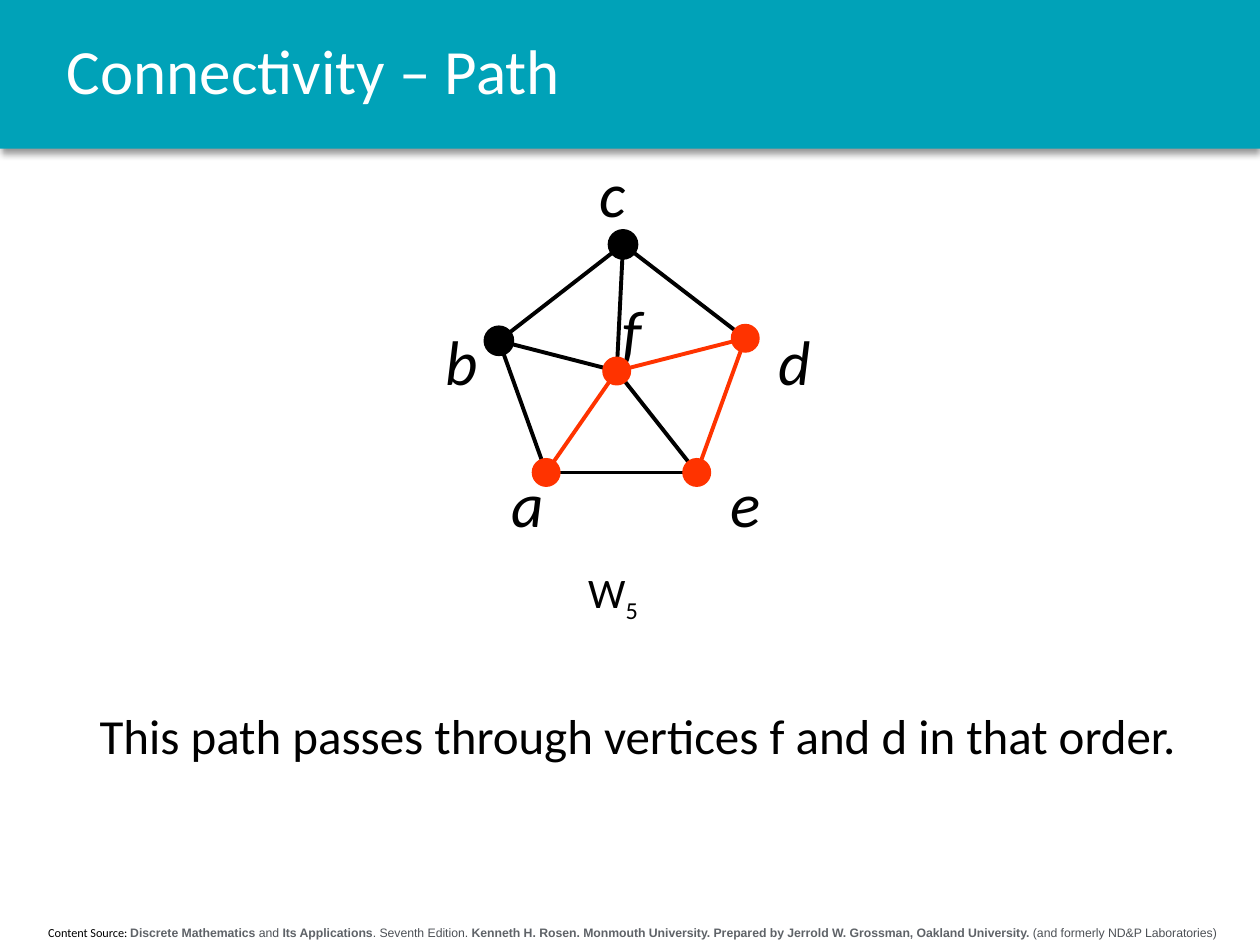
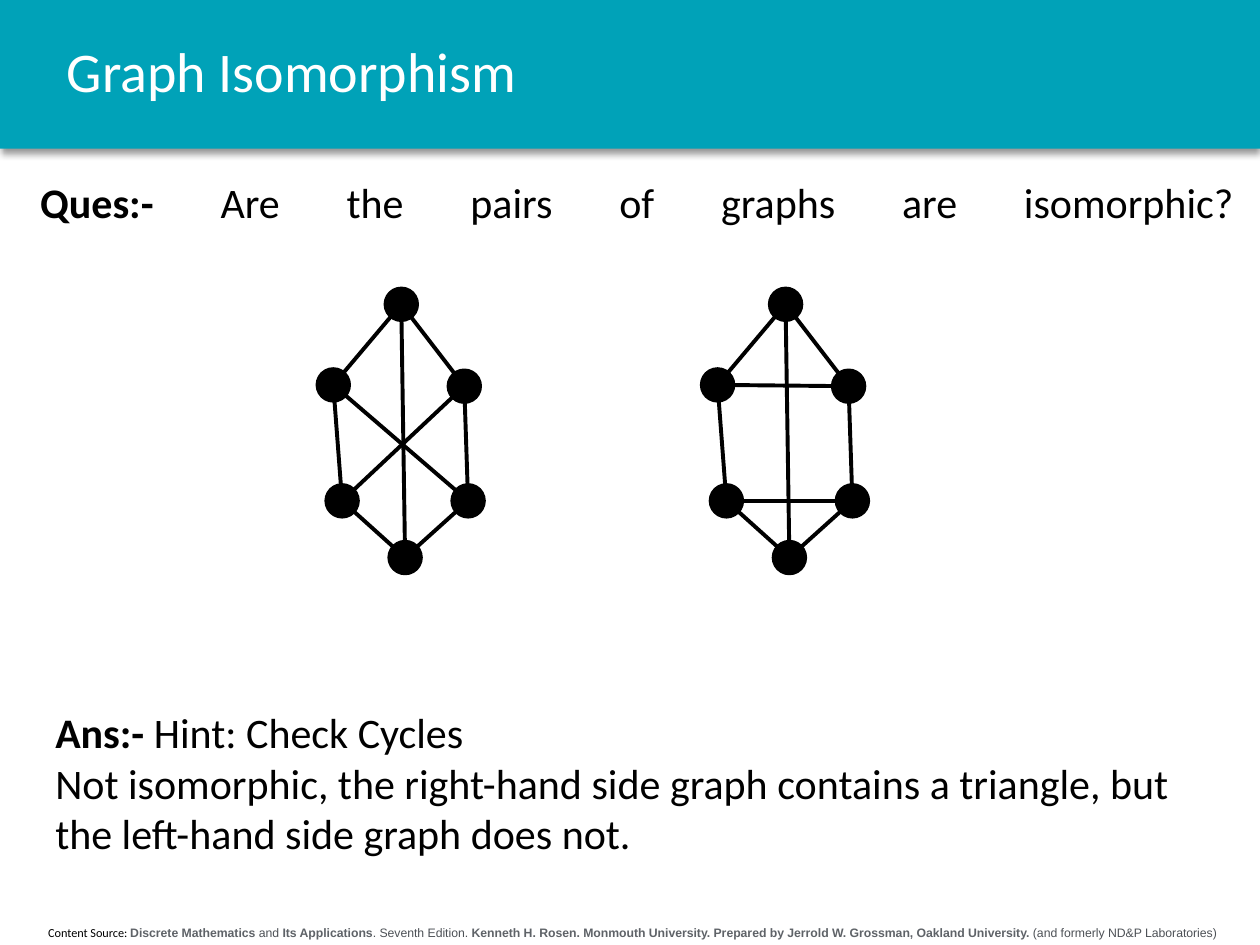
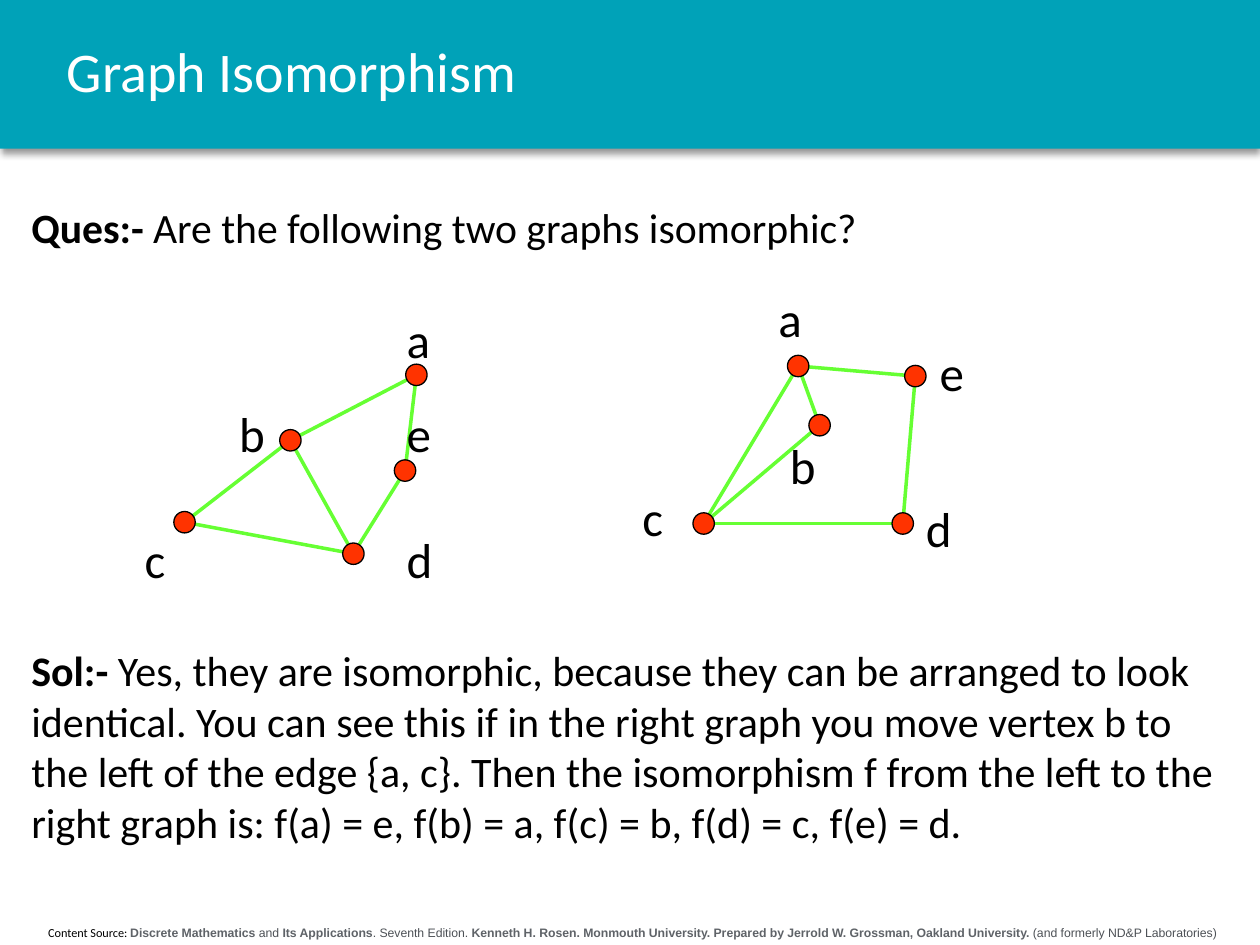
import math
from dataclasses import dataclass
from lxml import etree
from pptx import Presentation, util as u
from pptx.dml.color import RGBColor
from pptx.enum import shapes, text
from pptx.oxml import parse_xml
from pptx.oxml.ns import qn

COLORS = {"band": "00A2B8", "white": "FFFFFF", "black": "000000", "red": "FF3300",
          "green": "66FF33", "source": "5F6368", "source_light": "4D5156"}
COLS, ROWS = 100, 75  # the slide grid; every position and size counts its cells
CELL = u.Inches(10) // COLS
BAND_ROWS = 11.8
SHADOW = ('<a:effectLst xmlns:a="http://schemas.openxmlformats.org/drawingml/2006/main">'
          '<a:outerShdw blurRad="50800" dist="38100" dir="5400000" algn="t" rotWithShape="0">'
          '<a:srgbClr val="000000"><a:alpha val="40000"/></a:srgbClr>'
          '</a:outerShdw></a:effectLst>')


@dataclass
class GraphStyle:
    vertex: shapes.MSO_SHAPE
    diameter: float
    fill: str
    outline: str
    outline_pt: float
    edge: str
    edge_pt: float
    label_pt: float = 28
    italic: bool = False
    trim: bool = False  # edges stop at the rim of a vertex


WHEEL = GraphStyle(shapes.MSO_SHAPE.OVAL, 2.3, "black", "black", 1, "black", 2.25, 36, True)
PLAIN = GraphStyle(shapes.MSO_SHAPE.OVAL, 2.5, "black", "black", 2.25, "black", 2.25)
LABELLED = GraphStyle(shapes.MSO_SHAPE.FLOWCHART_CONNECTOR, 1.7, "red", "black", 0.75,
                      "green", 2, trim=True)


def rgb(name):
    return RGBColor.from_string(COLORS[name])


def cells(*counts):
    return [u.Emu(round(n * CELL)) for n in counts]


def add_run(p, words, size, color="black", bold=False, italic=False, font="Calibri"):
    r = p.add_run()
    r.text = words
    r.font.name, r.font.size = font, u.Pt(size)
    r.font.bold, r.font.italic = bold, italic
    r.font.color.rgb = rgb(color)
    return r


def add_text(s, box, paragraphs, size, align=text.PP_ALIGN.LEFT, spacing=None, **style):
    """Each paragraph is a list of runs; a run is (words, bold)."""
    sp = s.shapes.add_textbox(*cells(*box))
    tf = sp.text_frame
    tf.word_wrap = True
    for i, runs in enumerate(paragraphs):
        p = tf.add_paragraph() if i else tf.paragraphs[0]
        p.alignment = align
        if spacing:
            p.line_spacing = spacing
        for words, bold in runs:
            add_run(p, words, size, bold=bold, **style)
    return sp


def add_vertex(s, x, y, style, fill, outlined):
    d = style.diameter
    sp = s.shapes.add_shape(style.vertex, *cells(x - d / 2, y - d / 2, d, d))
    sp.shadow.inherit = False
    sp.fill.solid()
    sp.fill.fore_color.rgb = rgb(fill)
    if outlined:
        sp.line.color.rgb, sp.line.width = rgb(style.outline), u.Pt(style.outline_pt)
    else:
        sp.line.fill.background()


def add_edge(s, start, end, style, color):
    (x1, y1), (x2, y2) = start, end
    if style.trim:
        share = style.diameter / 2 / math.dist(start, end)
        dx, dy = (x2 - x1) * share, (y2 - y1) * share
        x1, y1, x2, y2 = x1 + dx, y1 + dy, x2 - dx, y2 - dy
    line = s.shapes.add_connector(shapes.MSO_CONNECTOR.STRAIGHT, *cells(x1, y1, x2, y2))
    line.line.color.rgb, line.line.width = rgb(color), u.Pt(style.edge_pt)
    etree.SubElement(line.element.spPr, qn("a:effectLst"))


def add_graph(s, origin, vertices, edges, style, labels=None, path=""):
    """Draws edges such as "ab", then labels, then vertices; path is shown in red."""
    left, top = origin
    at = {name: (left + x, top + y) for name, (x, y) in vertices.items()}
    steps = [set(pair) for pair in zip(path, path[1:])]
    for pair in edges.split():
        color = "red" if set(pair) in steps else style.edge
        add_edge(s, at[pair[0]], at[pair[1]], style, color)
    for name, (x, y) in (labels or {}).items():
        add_text(s, (left + x, top + y, 6, 6), [[(name, False)]], style.label_pt,
                 italic=style.italic)
    for name, (x, y) in at.items():
        on_path = name in path
        add_vertex(s, x, y, style, "red" if on_path else style.fill, not on_path)


def add_band(s):
    sp = s.shapes.add_shape(shapes.MSO_SHAPE.RECTANGLE, *cells(0, 0, COLS, BAND_ROWS))
    sp.fill.solid()
    sp.fill.fore_color.rgb = rgb("band")
    sp.line.fill.background()
    sp.element.spPr.append(parse_xml(SHADOW))
    return sp


def add_source(s):
    sp = add_text(s, (0.4, ROWS - 2.1, COLS - 0.4, 2.2), [[("Content Source: ", False)]], 7,
                  text.PP_ALIGN.CENTER)
    for words, bold in [
            ("Discrete Mathematics", True), (" and ", False), ("Its Applications", True),
            (". Seventh Edition. ", False),
            ("Kenneth H. Rosen. Monmouth University. Prepared by Jerrold W. Grossman, "
             "Oakland University.", True),
            (" (and formerly ND&P Laboratories)", False)]:
        add_run(sp.text_frame.paragraphs[0], words, 7, "source" if bold else "source_light",
                bold, font="Arial")
    return sp


def dress_layout(layout, s):
    """Moves the band and source line, made on slide s, into the layout."""
    for ph in list(layout.placeholders):
        if ph.placeholder_format.type != shapes.PP_PLACEHOLDER.TITLE:
            ph.element.getparent().remove(ph.element)
    tree = layout.shapes.element
    tree.insert(2, add_band(s).element)
    tree.append(add_source(s).element)


def set_title(s, words, size):
    title = s.shapes.title
    title.left, title.top, title.width, title.height = cells(4.3, 0, 93, BAND_ROWS)
    tf = title.text_frame
    tf.auto_size = text.MSO_AUTO_SIZE.NONE
    tf.vertical_anchor = text.MSO_ANCHOR.MIDDLE
    p = tf.paragraphs[0]
    p.alignment, p.line_spacing = text.PP_ALIGN.LEFT, 0.9
    add_run(p, words, size, "white")


def fill_path_slide(s):
    set_title(s, "Connectivity – Path", 36)
    add_text(s, (4.5, 55.5, 92.2, 10.4),
             [[("This path passes through vertices f and d in that order.", False)]], 28,
             text.PP_ALIGN.CENTER)
    add_graph(
        s, (33, 11),
        {"a": (10.35, 26.5), "b": (6.6, 16.05), "c": (16.45, 8.4), "d": (26.15, 15.85),
         "e": (22.3, 26.5), "f": (15.95, 18.45)},
        "ab bc cd de ea fa fb fc fd fe", WHEEL,
        {"a": (6.6, 25.4), "b": (1.4, 14.1), "c": (13.6, 0.8), "d": (27.8, 14.1),
         "e": (24, 25.4), "f": (15.4, 11.7)},
        path="afde")
    name = add_text(s, (45.7, 44.5, 7.3, 5), [[("W", False)]], 24)
    index = add_run(name.text_frame.paragraphs[0], "5", 24)
    index.font._element.set("baseline", "-25000")


def fill_cycles_slide(s):
    set_title(s, "Graph Isomorphism", 32)
    hexagon = {"t": (6.85, 2.15), "u": (1.45, 8.55), "v": (11.85, 8.65),
               "x": (2.15, 17.75), "y": (12.15, 17.75), "z": (7.15, 22.25)}
    rim = "tu tv ux vy xz yz tz "
    for left, chords in ((25, "uy vx"), (55.5, "uv xy")):
        add_graph(s, (left, 22), hexagon, rim + chords, PLAIN)
    question = add_text(s, (2.2, 11.5, 96.7, 12.5),
                        [[("Ques:-", True), (" Are the pairs of graphs are isomorphic?", False)]],
                        24, text.PP_ALIGN.JUSTIFY, 0.9)
    question.text_frame.vertical_anchor = text.MSO_ANCHOR.MIDDLE
    # The break makes the justified line fill the full width.
    question.text_frame.paragraphs[0].add_line_break()
    add_text(s, (3.4, 55.6, 94.9, 13.1),
             [[("Ans:-", True), (" Hint: Check Cycles", False)],
              [("Not isomorphic, the right-hand side graph contains a triangle, but the "
                "left-hand side graph does not.", False)]], 24)


def fill_mapping_slide(s):
    set_title(s, "Graph Isomorphism", 32)
    add_text(s, (1.5, 14.3, 97, 5.8),
             [[("Ques:- ", True), ("Are the following two graphs isomorphic?", False)]],
             23.8, spacing=1.3)
    add_graph(
        s, (10, 24),
        {"a": (23.05, 5.75), "b": (13.05, 10.95), "c": (4.65, 17.45), "d": (18.05, 19.95),
         "e": (22.15, 13.35)},
        "de dc cb ba ae bd", LABELLED,
        {"a": (21.3, 0.1), "b": (8, 7.5), "c": (0.5, 17.5), "d": (21.3, 17.5),
         "e": (21.3, 7.5)})
    add_graph(
        s, (50, 22),
        {"a": (13.35, 7.05), "b": (15.05, 11.75), "c": (5.85, 19.55), "d": (21.65, 19.55),
         "e": (22.65, 7.85)},
        "cd cb ba ae ed ac", LABELLED,
        {"a": (10.8, 0.4), "b": (11.7, 12.1), "c": (0, 16.2), "d": (22.5, 17.1),
         "e": (23.6, 4.7)})
    add_text(s, (1.5, 50.7, 95.8, 20),
             [[("Sol:- ", True),
               ("Yes, they are isomorphic, because they can be arranged to look identical. "
                "You can see this if in the right graph you move vertex b to the left of the "
                "edge {a, c}. Then the isomorphism f from the left to the right graph is: "
                "f(a) = e, f(b) = a, f(c) = b, f(d) = c, f(e) = d.", False)]], 24)


def main():
    prs = Presentation()
    prs.slide_width, prs.slide_height = cells(COLS, ROWS)
    layout = prs.slide_layouts.get_by_name("Title Only")
    for i, fill_slide in enumerate((fill_path_slide, fill_cycles_slide, fill_mapping_slide)):
        s = prs.slides.add_slide(layout)
        if i == 0:
            dress_layout(layout, s)
        fill_slide(s)
    prs.save("out.pptx")


if __name__ == "__main__":
    main()
